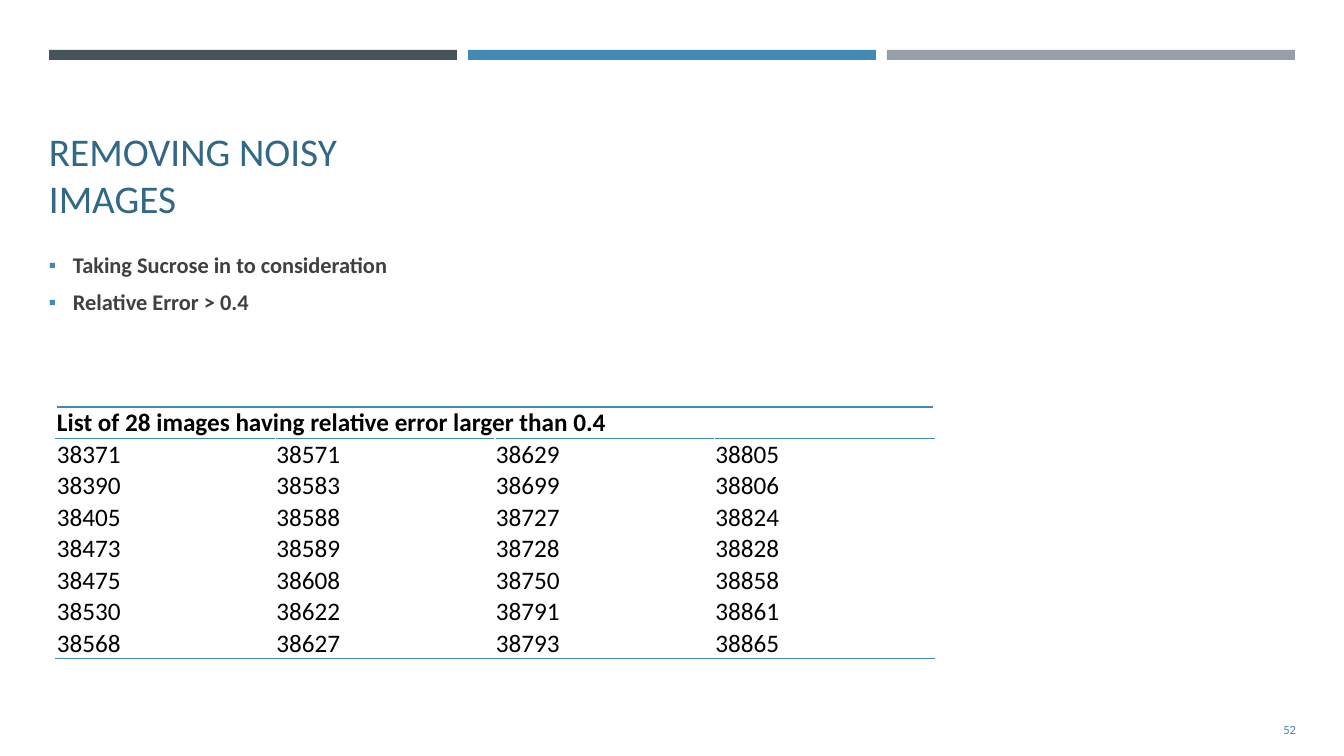
from lxml import etree
from pptx import Presentation
from pptx.dml.color import RGBColor
from pptx.enum.shapes import MSO_SHAPE
from pptx.enum.text import MSO_ANCHOR, PP_ALIGN
from pptx.oxml.ns import qn
from pptx.util import Emu, Pt

RECTANGLE = MSO_SHAPE.RECTANGLE
MIDDLE, BOTTOM = MSO_ANCHOR.MIDDLE, MSO_ANCHOR.BOTTOM
LEFT, RIGHT = PP_ALIGN.LEFT, PP_ALIGN.RIGHT

SLATE = RGBColor(0x46, 0x53, 0x59)
BLUE = RGBColor(0x41, 0x8A, 0xB3)
GRAY = RGBColor(0x96, 0x9F, 0xA7)
DEEP_BLUE = RGBColor(0x31, 0x68, 0x86)
CHARCOAL = RGBColor(0x40, 0x40, 0x40)
BLACK = RGBColor(0, 0, 0)

FONT = "Calibri"
EMU_PER_PX = 914400 / 100.8

TABLE_HEADING = "List of 28 images having relative error larger than 0.4"
IMAGE_ROWS = [
    ("38371", "38571", "38629", "38805"),
    ("38390", "38583", "38699", "38806"),
    ("38405", "38588", "38727", "38824"),
    ("38473", "38589", "38728", "38828"),
    ("38475", "38608", "38750", "38858"),
    ("38530", "38622", "38791", "38861"),
    ("38568", "38627", "38793", "38865"),
]


def px(length):
    return Emu(round(length * EMU_PER_PX))


def add_run(paragraph, text, size, color, bold=False):
    run = paragraph.add_run()
    run.text = text
    run.font.name = FONT
    run.font.size = Pt(size)
    run.font.bold = bold
    run.font.color.rgb = color


def add_text_frame(slide, box, anchor):
    frame = slide.shapes.add_textbox(*map(px, box)).text_frame
    frame.word_wrap = True
    frame.vertical_anchor = anchor
    return frame


def add_line_of_text(slide, box, text, size, color, anchor, align):
    paragraph = add_text_frame(slide, box, anchor).paragraphs[0]
    paragraph.alignment = align
    add_run(paragraph, text, size, color)


def add_header_bars(slide, box, gap):
    left, top, width, height = box
    colors = (SLATE, BLUE, GRAY)
    bar_width = (width - gap * (len(colors) - 1)) / len(colors)
    for index, color in enumerate(colors):
        bar_left = left + index * (bar_width + gap)
        bar = slide.shapes.add_shape(
            RECTANGLE, px(bar_left), px(top), px(bar_width), px(height))
        bar.shadow.inherit = False
        bar.fill.solid()
        bar.fill.fore_color.rgb = color
        bar.line.fill.background()


def add_bullet(paragraph, indent):
    properties = paragraph._p.get_or_add_pPr()
    properties.set("marL", str(px(indent)))
    properties.set("indent", str(-px(indent)))
    bullet_color = etree.SubElement(properties, qn("a:buClr"))
    etree.SubElement(bullet_color, qn("a:srgbClr"), val=str(BLUE))
    etree.SubElement(properties, qn("a:buSzPct"), val="92000")
    etree.SubElement(properties, qn("a:buFont"), typeface=FONT)
    etree.SubElement(properties, qn("a:buChar"), char="▪")


def add_bullet_list(slide, box, items):
    frame = add_text_frame(slide, box, MIDDLE)
    for index, item in enumerate(items):
        paragraph = frame.add_paragraph() if index else frame.paragraphs[0]
        add_bullet(paragraph, 24)
        paragraph.line_spacing = 0.9
        if index:
            paragraph.space_before = Pt(9)
        add_run(paragraph, item, 16, CHARCOAL, bold=True)


def add_border(cell, side):
    properties = cell._tc.get_or_add_tcPr()
    line = etree.SubElement(properties, qn(f"a:{side}"), w=str(Pt(1)))
    fill = etree.SubElement(line, qn("a:solidFill"))
    etree.SubElement(fill, qn("a:srgbClr"), val=str(BLUE))


def format_cell(cell, sides):
    cell.margin_left = cell.margin_top = cell.margin_right = px(1)
    cell.margin_bottom = 0
    cell.vertical_anchor = BOTTOM
    for side in sides:
        add_border(cell, side)
    cell.fill.background()


def add_image_table(slide, box):
    row_count, column_count = len(IMAGE_ROWS) + 1, len(IMAGE_ROWS[0])
    table = slide.shapes.add_table(row_count, column_count, *map(px, box)).table
    table.first_row = False
    table.horz_banding = False
    borders = {0: ("lnT", "lnB"), 1: ("lnT",), row_count - 1: ("lnB",)}
    for row_index in range(row_count):
        for column_index in range(column_count):
            cell = table.cell(row_index, column_index)
            format_cell(cell, borders.get(row_index, ()))
            if row_index:
                text = IMAGE_ROWS[row_index - 1][column_index]
                add_run(cell.text_frame.paragraphs[0], text, 18, BLACK)
    heading = table.cell(0, 0)
    heading.merge(table.cell(0, column_count - 1))
    add_run(heading.text_frame.paragraphs[0], TABLE_HEADING, 18, BLACK, bold=True)


def main():
    presentation = Presentation()
    presentation.slide_width = px(1344)
    presentation.slide_height = px(756)
    slide = presentation.slides.add_slide(presentation.slide_layouts[6])
    add_header_bars(slide, (49, 50, 1246, 10), 11)
    add_line_of_text(slide, (39, 50, 418, 176), "REMOVING NOISY IMAGES",
                     28, DEEP_BLUE, BOTTOM, LEFT)
    add_bullet_list(slide, (39, 227, 443, 116),
                    ("Taking Sucrose in to consideration", "Relative Error > 0.4"))
    add_image_table(slide, (56, 407, 878, 252))
    add_line_of_text(slide, (1190, 709, 116, 40), "52", 9, BLUE, MIDDLE, RIGHT)
    presentation.save("out.pptx")


if __name__ == "__main__":
    main()
